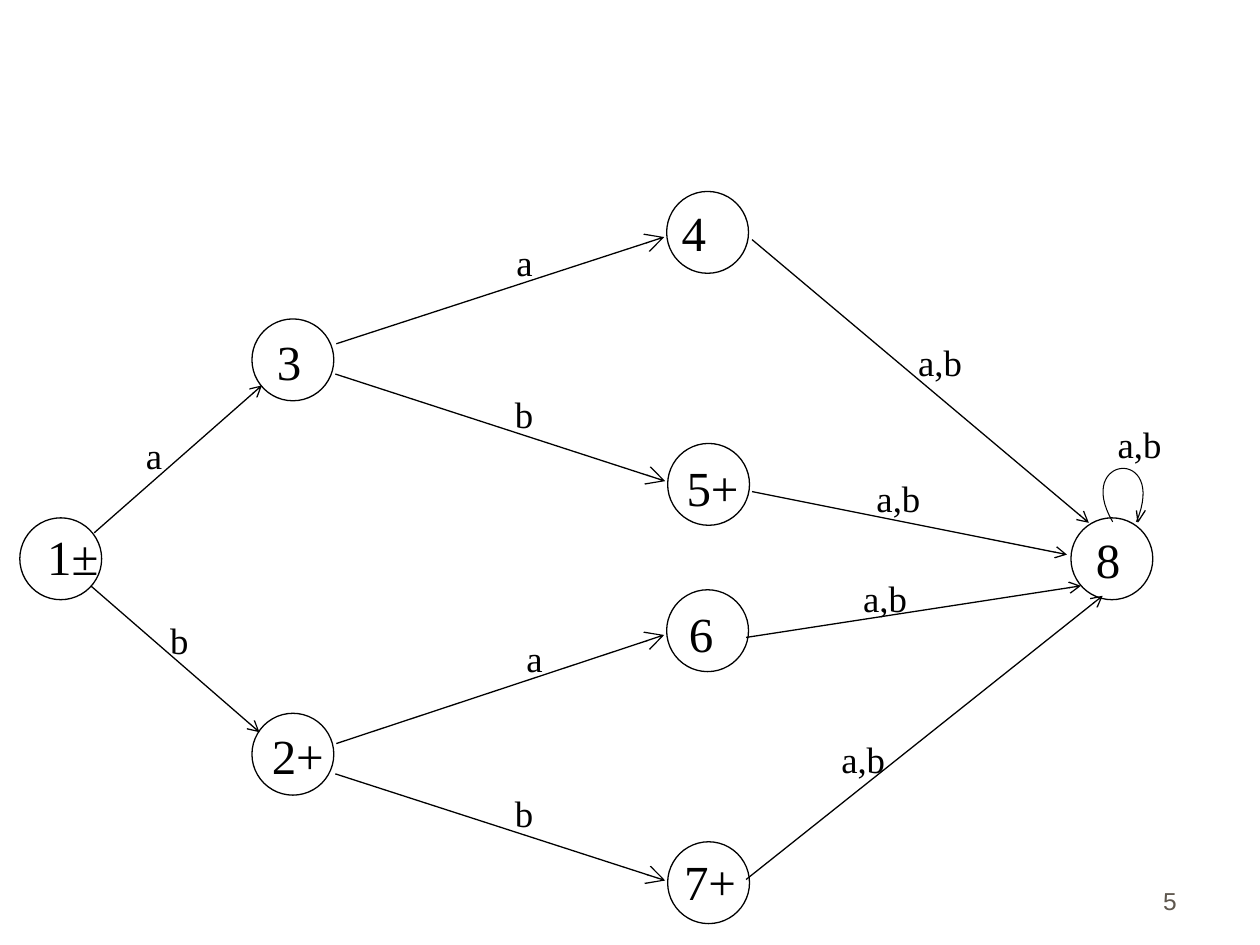
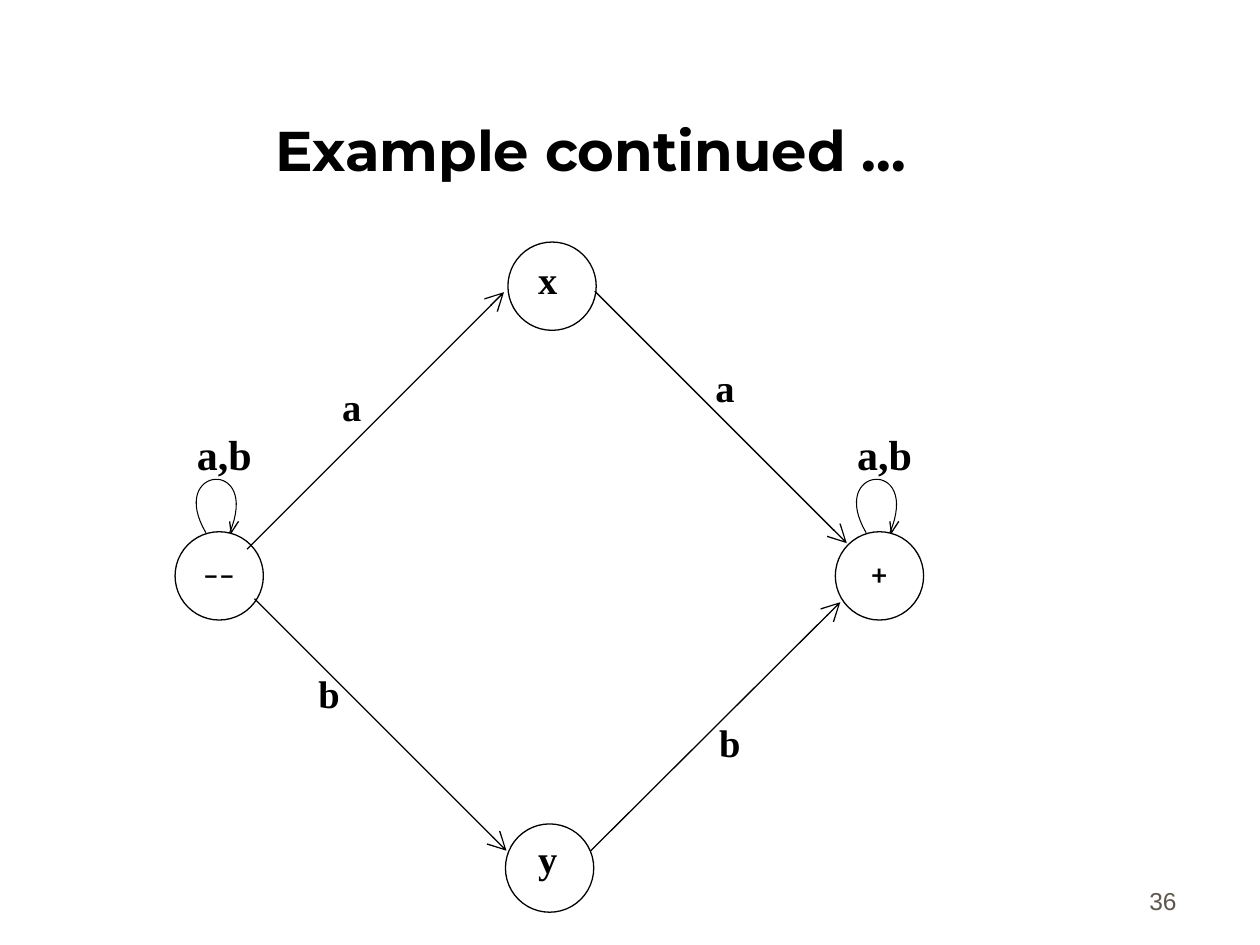
from collections import namedtuple

from lxml.etree import SubElement
from pptx import Presentation
from pptx.dml.color import RGBColor
from pptx.enum.shapes import MSO_CONNECTOR as CONN, MSO_SHAPE as SHAPE
from pptx.enum.text import MSO_ANCHOR as ANCHOR, PP_ALIGN as ALIGN
from pptx.oxml.ns import qn
from pptx.util import Cm, Pt

COLORS = {"ink": "000000", "paper": "FFFFFF", "number": "5E574E"}
SERIF, SANS, TITLE_FONT, SIGN_FONT = "Times New Roman", "Arial", "Montserrat", "Lato"
LABEL_W, LABEL_H = 2.49, 1.73

Box = namedtuple("Box", "left top width height")
Node = namedtuple("Node", "text x y dx dy")
Edge = namedtuple("Edge", "x1 y1 x2 y2 head text tx ty")
Loop = namedtuple("Loop", "node dx dy label_dx label_dy")
Style = namedtuple("Style", "diameter node_size edge_size loop_size bold")

TREE_BOX = Box(0.4, 3.8, 22.9, 15)
TREE_STYLE = Style(1.65, 28, 21, 21, False)
TREE_NODES = [
    Node("1±", 0, 6.64, 0.3, 0.05),
    Node("2+", 4.68, 10.58, 0.15, 0.12),
    Node("3", 4.68, 2.63, 0.25, 0.12),
    Node("4", 13.04, 0.06, 0.05, 0.1),
    Node("5+", 13.06, 5.14, 0.13, 0.15),
    Node("6", 13.04, 8.09, 0.2, 0.15),
    Node("7+", 13.06, 13.17, 0.08, 0.07),
    Node("8", 21.19, 6.64, 0.25, 0.1),
]
TREE_EDGES = [
    Edge(1.5, 6.94, 4.88, 3.97, "med", "a", 2.29, 4.79),
    Edge(1.43, 8.01, 4.83, 10.96, "med", "b", 2.78, 8.52),
    Edge(6.38, 3.13, 12.99, 0.98, "lg", "a", 9.76, 0.9),
    Edge(6.36, 3.74, 13.01, 5.9, "lg", "b", 9.73, 3.97),
    Edge(6.38, 11.19, 12.99, 9, "lg", "a", 9.96, 8.9),
    Edge(6.36, 11.8, 13.01, 13.95, "lg", "b", 9.73, 12.02),
    Edge(14.76, 1.03, 21.55, 6.74, "med", "a,b", 17.86, 2.93),
    Edge(14.76, 6.11, 21.11, 7.38, "med", "a,b", 17.02, 5.67),
    Edge(14.64, 9.05, 21.39, 8.01, "med", "a,b", 16.75, 7.68),
    Edge(14.64, 13.93, 21.83, 8.21, "med", "a,b", 16.31, 10.93),
]
TREE_LOOPS = [Loop("8", 0.84, 0.08, 0.69, -2.06)]

DIAMOND_BOX = Box(3.5, 4.8, 15.3, 13.7)
DIAMOND_STYLE = Style(1.78, 22, 22, 24, True)
DIAMOND_NODES = [
    Node("––", 0.03, 5.92, -0.36, 0.4),
    Node("x", 6.74, 0.08, 0.36, 0.15),
    Node("y", 6.69, 11.81, 0.41, 0.1),
    Node("+", 13.34, 5.92, -0.36, 0.4),
]
DIAMOND_EDGES = [
    Edge(1.48, 6.27, 6.66, 1.09, "lg", "a", 3.15, 2.79),
    Edge(8.49, 1.07, 13.57, 6.15, "lg", "a", 10.67, 2.41),
    Edge(1.63, 7.27, 6.71, 12.35, "lg", "b", 2.67, 8.58),
    Edge(8.41, 12.35, 13.44, 7.34, "lg", "b", 10.75, 9.57),
]
DIAMOND_LOOPS = [Loop(sign, 0.62, 0.02, 0.19, -2.21) for sign in ("––", "+")]


def rgb(name):
    """Return the named colour."""
    return RGBColor.from_string(COLORS[name])


def style_font(p, name, size, color="ink", bold=False):
    """Format every run of a paragraph."""
    for r in p.runs:
        r.font.name, r.font.size, r.font.bold = name, Pt(size), bold
        r.font.color.rgb = rgb(color)


def style_line(s, width=0.75):
    """Give a shape or connector a thin ink line."""
    s.line.color.rgb = rgb("ink")
    s.line.width = Pt(width)


def add_text(slide, text, box, size, font=SERIF, color="ink", bold=False,
             align=ALIGN.LEFT, anchor=ANCHOR.TOP):
    """Add a one-paragraph text box."""
    tf = slide.shapes.add_textbox(*map(Cm, box)).text_frame
    tf.word_wrap = True
    tf.vertical_anchor = anchor
    tf.text = text
    p = tf.paragraphs[0]
    p.alignment = align
    style_font(p, font, size, color, bold)


def add_label(slide, text, x, y, size, bold, **kwargs):
    """Add a diagram label with its usual box size."""
    add_text(slide, text, Box(x, y, LABEL_W, LABEL_H), size, bold=bold, **kwargs)


def add_node(slide, box, node, style):
    """Draw one state circle and its name."""
    x, y = box.left + node.x, box.top + node.y
    s = slide.shapes.add_shape(SHAPE.OVAL, Cm(x), Cm(y),
                               Cm(style.diameter), Cm(style.diameter))
    s.shadow.inherit = False
    s.fill.solid()
    s.fill.fore_color.rgb = rgb("paper")
    style_line(s)
    x, y = x + node.dx, y + node.dy
    if node.text in ("––", "+"):
        add_label(slide, node.text, x, y, 16, style.bold, font=SIGN_FONT,
                  align=ALIGN.CENTER)
    else:
        add_label(slide, node.text, x, y, style.node_size, style.bold)


def add_edge(slide, box, edge, style):
    """Draw one transition arrow and its label."""
    s = slide.shapes.add_connector(
        CONN.STRAIGHT, Cm(box.left + edge.x1), Cm(box.top + edge.y1),
        Cm(box.left + edge.x2), Cm(box.top + edge.y2))
    style_line(s)
    SubElement(s.line._get_or_add_ln(), qn("a:tailEnd"),
               type="arrow", w=edge.head, len=edge.head)
    SubElement(s._element.spPr, qn("a:effectLst"))
    add_label(slide, edge.text, box.left + edge.tx, box.top + edge.ty,
              style.edge_size, style.bold)


def bezier(points, steps=32):
    """Return points along a cubic curve."""
    def at(t, a, b, c, d):
        u = 1 - t
        return u**3 * a + 3 * u * u * t * b + 3 * u * t * t * c + t**3 * d
    return [tuple(at(i / steps, *axis) for axis in zip(*points))
            for i in range(steps + 1)]


def add_outline(slide, x, y, points, width):
    """Draw an open line through points relative to x and y."""
    pts = [(Cm(x + px), Cm(y + py)) for px, py in points]
    builder = slide.shapes.build_freeform(*pts[0])
    builder.add_line_segments(pts[1:], close=False)
    s = builder.convert_to_shape()
    s.shadow.inherit = False
    s.fill.background()
    style_line(s, width)


def add_loop(slide, box, loop, node, style):
    """Draw a self-transition above a state."""
    x, y = box.left + node.x, box.top + node.y
    curve = bezier([(0, 0), (-0.79, -1.35), (1.12, -1.52), (0.48, 0)])
    head = [(0.48, -0.23), (0.51, 0), (0.66, -0.23)]
    for points, width in ((curve, 0.6), (head, 0.75)):
        add_outline(slide, x + loop.dx, y + loop.dy, points, width)
    add_label(slide, "a,b", x + loop.label_dx, y + loop.label_dy,
              style.loop_size, style.bold)


def add_automaton(slide, box, nodes, edges, loops, style):
    """Draw a state diagram inside a box."""
    by_name = {node.text: node for node in nodes}
    for node in nodes:
        add_node(slide, box, node, style)
    for edge in edges:
        add_edge(slide, box, edge, style)
    for loop in loops:
        add_loop(slide, box, loop, by_name[loop.node], style)


def add_number(slide, number):
    """Add the page number at the bottom right."""
    add_text(slide, number, Box(18.69, 17.3, 5.28, 1.27), 14, SANS, "number",
             align=ALIGN.RIGHT, anchor=ANCHOR.BOTTOM)


def set_title(slide, text, box):
    """Place and format the title placeholder."""
    s = slide.shapes.title
    s.left, s.top, s.width, s.height = map(Cm, box)
    tf = s.text_frame
    tf.text = text
    tf.vertical_anchor = ANCHOR.BOTTOM
    tf.paragraphs[0].alignment = ALIGN.CENTER
    style_font(tf.paragraphs[0], TITLE_FONT, 32, bold=True)


def tree_slide(prs):
    """Build the eight-state tree slide."""
    slide = prs.slides.add_slide(prs.slide_layouts[6])
    add_number(slide, "5")
    add_automaton(slide, TREE_BOX, TREE_NODES, TREE_EDGES, TREE_LOOPS, TREE_STYLE)


def diamond_slide(prs):
    """Build the titled four-state slide."""
    slide = prs.slides.add_slide(prs.slide_layouts[5])
    set_title(slide, "Example continued …", Box(1.12, 0.64, 21.59, 3.18))
    add_number(slide, "36")
    add_automaton(slide, DIAMOND_BOX, DIAMOND_NODES, DIAMOND_EDGES,
                  DIAMOND_LOOPS, DIAMOND_STYLE)


def main():
    """Build and save the presentation."""
    prs = Presentation()
    prs.slide_width, prs.slide_height = Cm(25.4), Cm(19.05)
    tree_slide(prs)
    diamond_slide(prs)
    prs.save("out.pptx")


if __name__ == "__main__":
    main()
